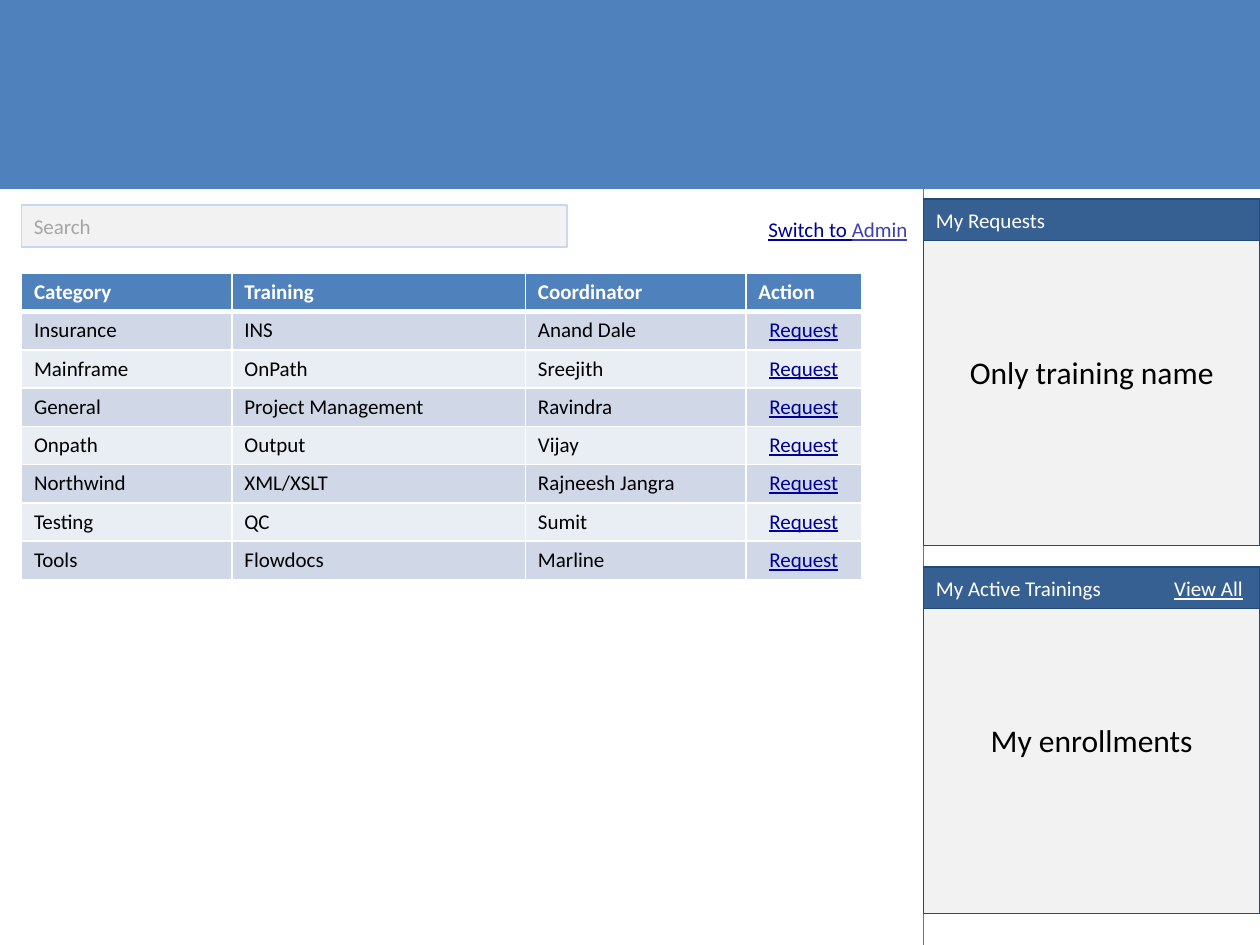
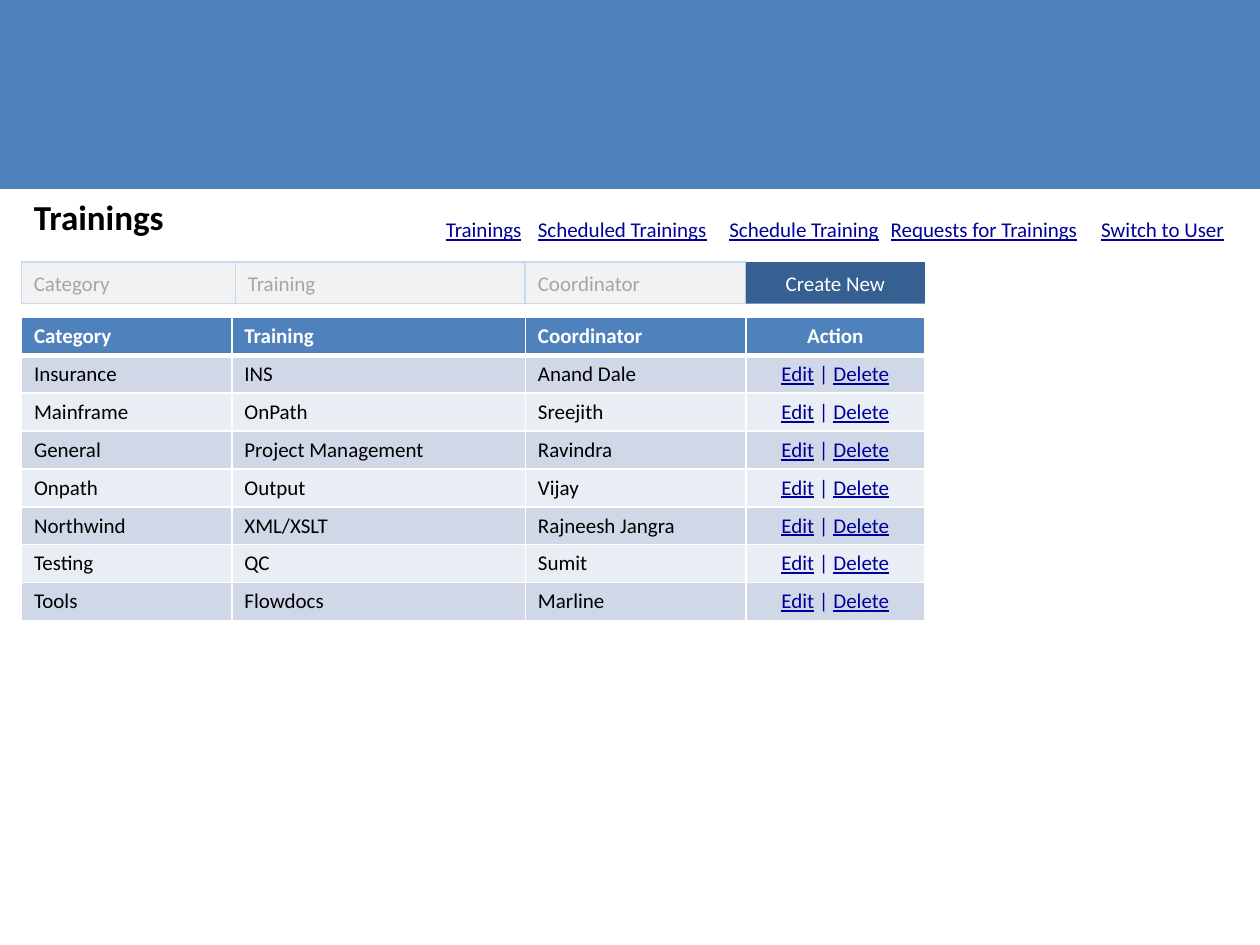
"""Builds the user and admin page mock-ups of a training portal."""
from lxml.etree import SubElement
from pptx import Presentation
from pptx.dml.color import RGBColor
from pptx.enum.shapes import MSO_CONNECTOR, MSO_SHAPE
from pptx.enum.text import MSO_ANCHOR, MSO_AUTO_SIZE, PP_ALIGN
from pptx.oxml.ns import qn
from pptx.util import Inches, Pt

FONT = "Calibri"
COLORS = {
    "banner": "4F81BD", "divider": "4B7EBC", "bar": "376092", "outline": "1F497D",
    "panel": "F2F2F2", "field": "C6D9F1", "hint": "A6A6A6", "link": "000099",
    "admin": "4040B3", "odd": "D0D8E8", "even": "E9EDF4",
    "white": "FFFFFF", "black": "000000",
}
SIDE, MARGIN, BAR_HEIGHT = 7.33, 0.17, 0.33
HEADINGS = ["Category", "Training", "Coordinator", "Action"]
COLUMNS = [1.67, 2.33, 1.75]
TRAININGS = [
    ("Insurance", "INS", "Anand Dale"),
    ("Mainframe", "OnPath", "Sreejith"),
    ("General", "Project Management", "Ravindra"),
    ("Onpath", "Output", "Vijay"),
    ("Northwind", "XML/XSLT", "Rajneesh Jangra"),
    ("Testing", "QC", "Sumit"),
    ("Tools", "Flowdocs", "Marline"),
]


def rgb(name):
    return RGBColor.from_string(COLORS[name])


def style(p, color, size=12, bold=False, underline=False, align=PP_ALIGN.LEFT):
    p.alignment = align
    p.font.name, p.font.size = FONT, Pt(size)
    p.font.bold, p.font.underline = bold, underline
    p.font.color.rgb = rgb(color)


def add_box(s, left, top, width, height, fill, line=None, text="", **font):
    sp = s.shapes.add_shape(MSO_SHAPE.RECTANGLE, *map(Inches, (left, top, width, height)))
    sp.shadow.inherit = False
    sp.fill.solid()
    sp.fill.fore_color.rgb = rgb(fill)
    if line:
        sp.line.color.rgb = rgb(line)
        sp.line.width = Pt(1)
    else:
        sp.line.fill.background()
    if text:
        tf = sp.text_frame
        tf.word_wrap = True
        tf.vertical_anchor = MSO_ANCHOR.MIDDLE
        tf.text = text
        style(tf.paragraphs[0], **font)


def add_field(s, left, top, width, hint):
    add_box(s, left, top, width, BAR_HEIGHT, "panel", "field", hint, color="hint")


def add_label(s, left, top, width, height, text, **font):
    tf = s.shapes.add_textbox(*map(Inches, (left, top, width, height))).text_frame
    tf.word_wrap = False
    tf.auto_size = MSO_AUTO_SIZE.SHAPE_TO_FIT_TEXT
    tf.text = text
    p = tf.paragraphs[0]
    style(p, **font)
    return p


def add_link(s, left, top, width, text, color="link"):
    return add_label(s, left, top, width, 0.3, text, color=color, underline=True)


def add_divider(s):
    line = s.shapes.add_connector(
        MSO_CONNECTOR.STRAIGHT, *map(Inches, (SIDE, 1.5, SIDE, 7.5)))
    line.line.color.rgb = rgb("divider")
    line.line.width = Pt(0.75)
    SubElement(line._element.spPr, qn("a:effectLst"))


def add_panel(s, top, title, content):
    add_box(s, SIDE, top, 2.67, 2.75, "panel", "outline", content,
            color="black", size=18, align=PP_ALIGN.CENTER)
    add_box(s, SIDE, top, 2.67, BAR_HEIGHT, "bar", "outline", title, color="white")


def style_cell(cell, fill, top=1, bottom=1):
    tc_pr = cell._tc.get_or_add_tcPr()
    for side, width in (("L", 1), ("R", 1), ("T", top), ("B", bottom)):
        ln = SubElement(tc_pr, qn(f"a:ln{side}"), w=str(Pt(width)))
        solid = SubElement(ln, qn("a:solidFill"))
        SubElement(solid, qn("a:srgbClr"), val=COLORS["white"])
    cell.fill.solid()
    cell.fill.fore_color.rgb = rgb(fill)


def add_actions(p, actions):
    style(p, "link", align=PP_ALIGN.CENTER)
    for i, action in enumerate(actions):
        if i:
            p.add_run().text = " | "
        r = p.add_run()
        r.text = action
        r.font.underline = True


def add_training_table(s, top, action_width, actions, action_align):
    widths = COLUMNS + [action_width]
    rows = len(TRAININGS) + 1
    table = s.shapes.add_table(rows, len(widths), Inches(MARGIN), Inches(top),
                               Inches(sum(widths)), Inches(0.3 * rows)).table
    for column, width in zip(table.columns, widths):
        column.width = Inches(width)
    for i, heading in enumerate(HEADINGS):
        cell = table.cell(0, i)
        cell.text = heading
        align = action_align if heading == "Action" else PP_ALIGN.LEFT
        style(cell.text_frame.paragraphs[0], "white", bold=True, align=align)
        style_cell(cell, "banner", bottom=3)
    for row, training in enumerate(TRAININGS, 1):
        for i, text in enumerate(training):
            cell = table.cell(row, i)
            cell.text = text
            style(cell.text_frame.paragraphs[0], "black")
        add_actions(table.cell(row, len(training)).text_frame.paragraphs[0], actions)
        for cell in table.rows[row].cells:
            style_cell(cell, "odd" if row % 2 else "even", top=3 if row == 1 else 1)


def add_page(prs):
    s = prs.slides.add_slide(prs.slide_layouts[6])
    add_box(s, 0, 0, 10, 1.5, "banner")
    return s


def build_user_page(prs):
    s = add_page(prs)
    add_divider(s)
    add_panel(s, 1.58, "My Requests", "Only training name")
    add_panel(s, 4.5, "My Active Trainings", "My enrollments")
    add_field(s, MARGIN, 1.63, 4.33, "Search")
    add_training_table(s, 2.17, 0.92, ["Request"], PP_ALIGN.LEFT)
    add_link(s, 9.22, 4.52, 0.75, "View All", "white")
    r = add_link(s, 6, 1.67, 1.32, "Switch to ").add_run()
    r.text = "Admin"
    r.font.color.rgb = rgb("admin")


def build_admin_page(prs):
    s = add_page(prs)
    add_label(s, MARGIN, 1.5, 1.24, 0.44, "Trainings", color="black", size=20, bold=True)
    for left, width, text in [
        (3.44, 0.81, "Trainings"),
        (4.17, 1.55, "Scheduled Trainings"),
        (5.69, 1.4, "Schedule Training"),
        (6.97, 1.7, "Requests for Trainings"),
        (8.64, 1.19, "Switch to User"),
    ]:
        add_link(s, left, 1.67, width, text)
    add_training_table(s, 2.52, 1.42, ["Edit", "Delete"], PP_ALIGN.CENTER)
    left = MARGIN
    for hint, width in zip(HEADINGS, (1.7, 2.3, 1.75)):
        add_field(s, left, 2.08, width, hint)
        left += width
    add_box(s, left, 2.08, 1.42, BAR_HEIGHT, "bar", text="Create New",
            color="white", align=PP_ALIGN.CENTER)


def main():
    prs = Presentation()
    prs.slide_width, prs.slide_height = Inches(10), Inches(7.5)
    build_user_page(prs)
    build_admin_page(prs)
    prs.save("out.pptx")


main()
